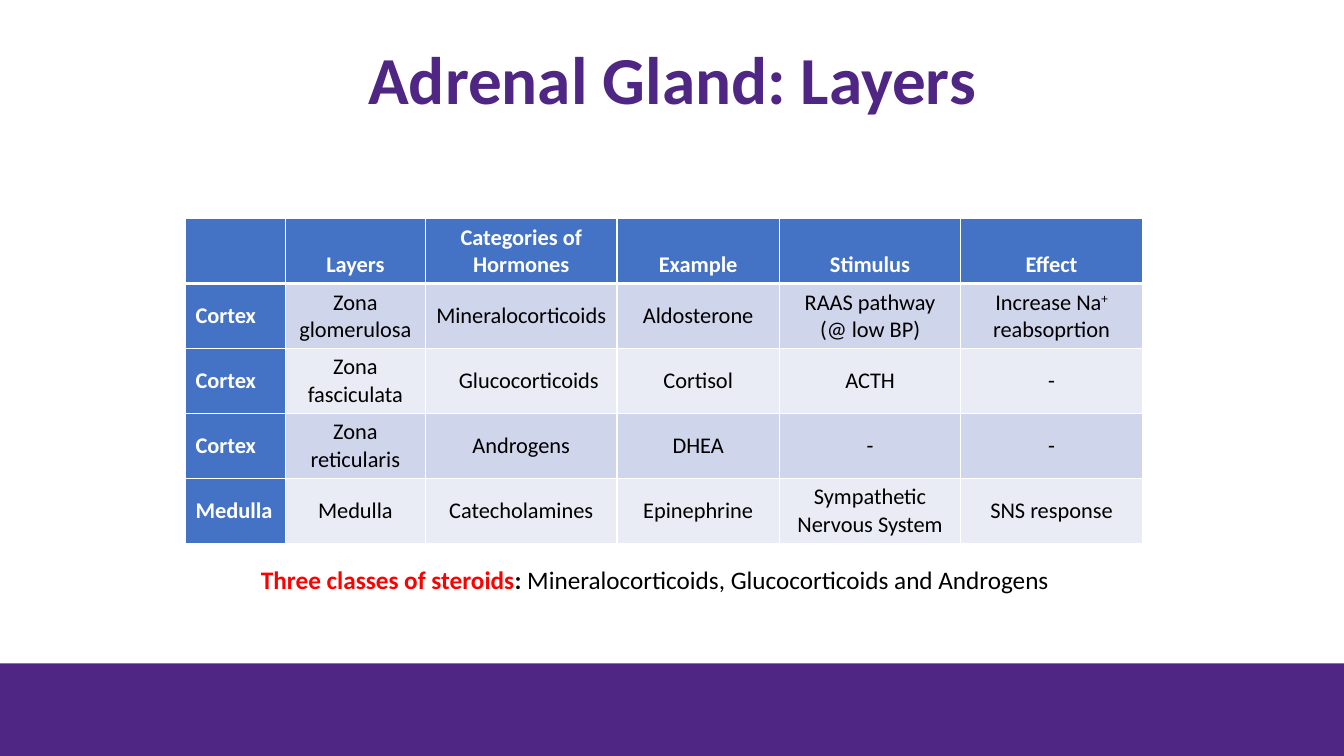
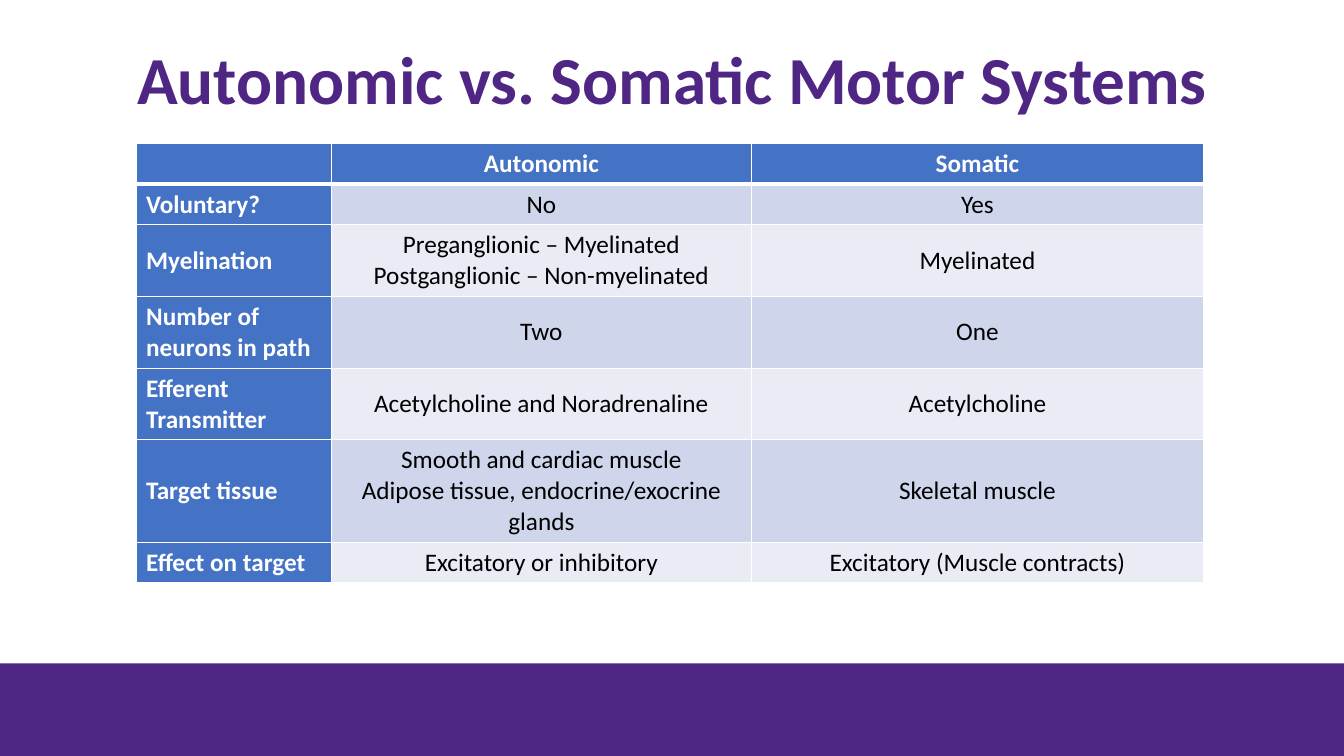
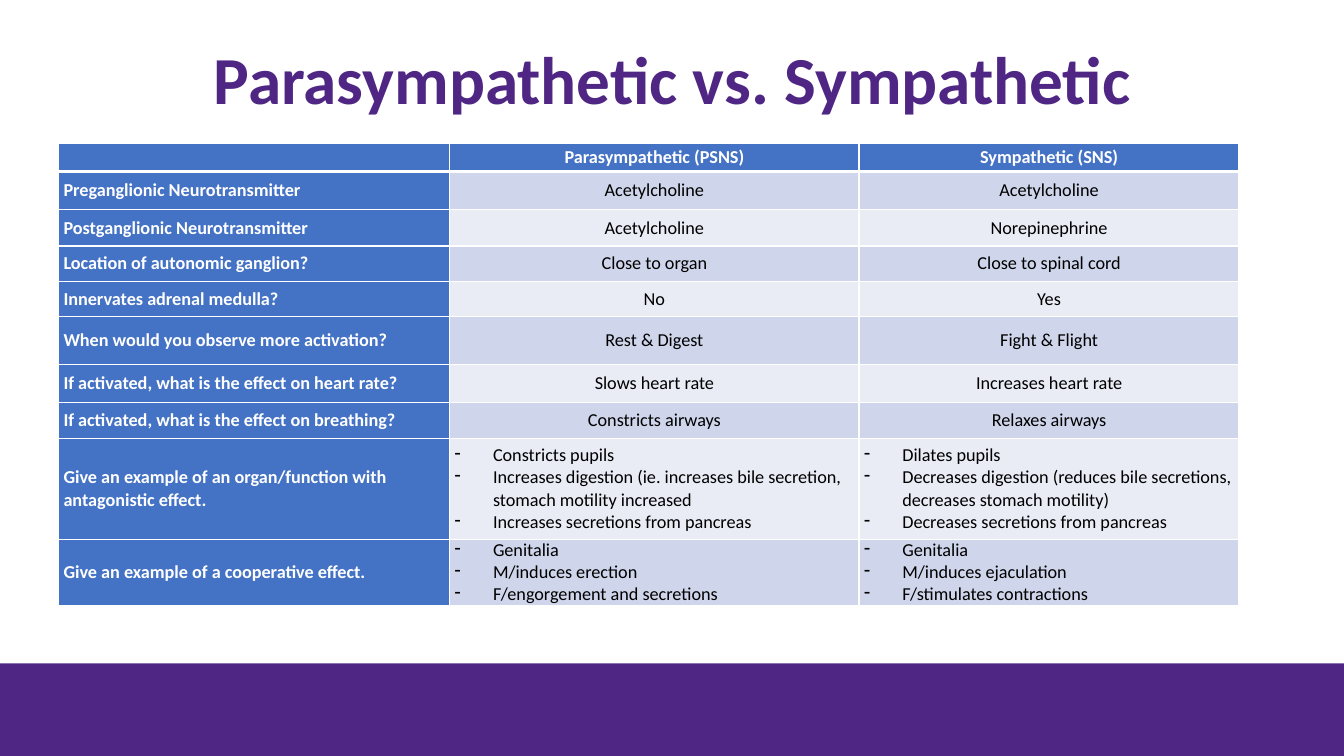
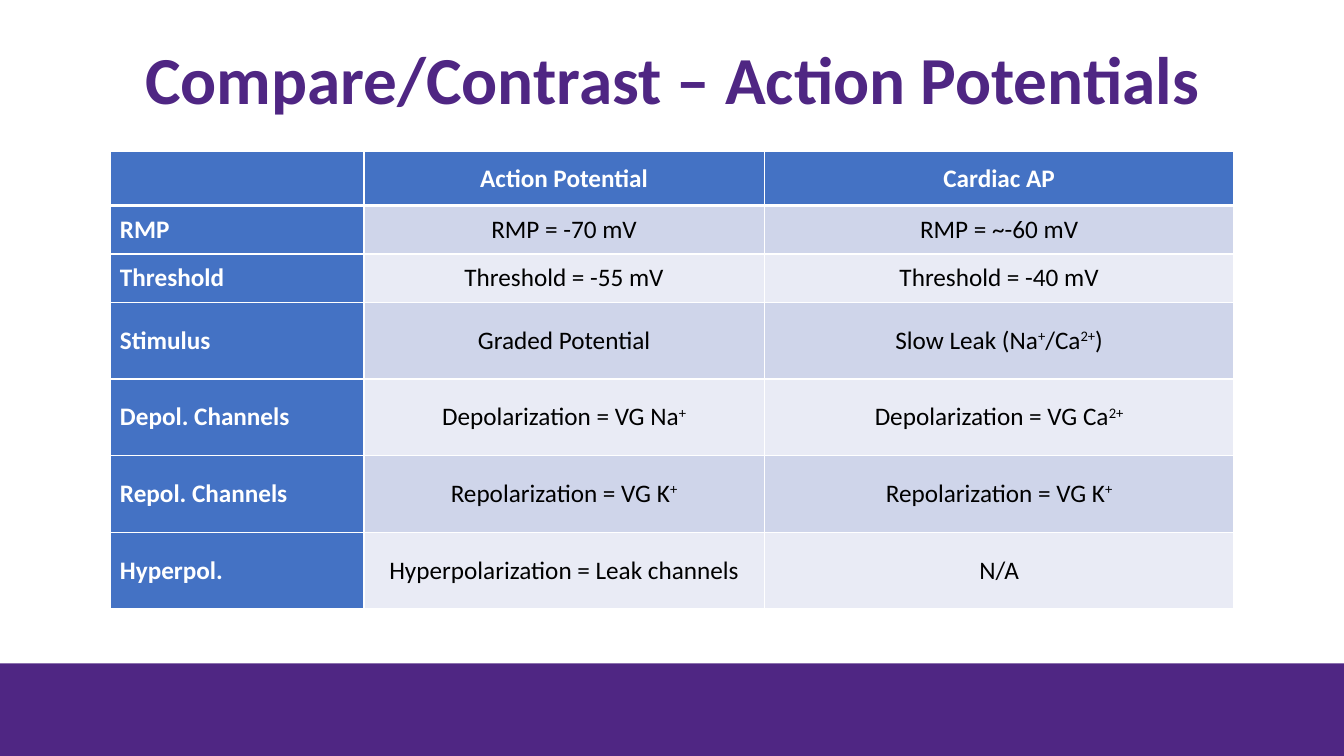
from lxml.etree import SubElement
from pptx import Presentation
from pptx.dml.color import RGBColor
from pptx.enum.shapes import MSO_SHAPE
from pptx.enum.text import MSO_ANCHOR, MSO_AUTO_SIZE, PP_ALIGN
from pptx.oxml.ns import qn
from pptx.util import Inches, Pt

PURPLE = RGBColor(0x4F, 0x26, 0x83)
BLUE = RGBColor(0x44, 0x72, 0xC4)
BAND_DARK = RGBColor(0xCF, 0xD5, 0xEA)
BAND_LIGHT = RGBColor(0xE9, 0xEB, 0xF5)
RED = RGBColor(0xFF, 0, 0)
BLACK = RGBColor(0, 0, 0)
WHITE = RGBColor(0xFF, 0xFF, 0xFF)
FONT = "Calibri"


def write(p, text, size=18, color=BLACK, bold=False, align=PP_ALIGN.LEFT):
    """Append text to a paragraph; parts between ^ marks are superscript."""
    p.alignment = align
    for i, part in enumerate(text.split("^")):
        if part:
            r = p.add_run()
            r.text = part
            r.font.name, r.font.size, r.font.bold = FONT, Pt(size), bold
            r.font.color.rgb = color
            if i % 2:
                r.font._element.set("baseline", "30000")
    if not text:
        p._p.get_or_add_endParaRPr().set("sz", str(size * 100))


def set_borders(cell, header):
    """Draw white cell borders, with a thick line under the header."""
    tcPr = cell._tc.get_or_add_tcPr()
    for side in ("lnL", "lnR", "lnT", "lnB"):
        width = 3 if header and side == "lnB" else 1
        ln = SubElement(tcPr, qn(f"a:{side}"), w=str(Pt(width)))
        fill = SubElement(ln, qn("a:solidFill"))
        SubElement(fill, qn("a:srgbClr"), val=str(WHITE))


# Slide contents: a line that starts with "- " is a bullet
SLIDES = [
    dict(
        title="Adrenal Gland: Layers", left=1.84, top=2.17, size=16,
        cols=[0.99, 1.39, 1.9, 1.61, 1.8, 1.8], heights=[0.64] * 5,
        header_anchor=MSO_ANCHOR.BOTTOM, margins=(0.1, 0.05),
        rows=[
            ["", "Layers", "Categories of Hormones", "Example", "Stimulus", "Effect"],
            ["Cortex", "Zona glomerulosa", "Mineralocorticoids", "Aldosterone",
             "RAAS pathway (@ low BP)", "Increase Na^+ ^reabsoprtion"],
            ["Cortex", "Zona fasciculata", "Glucocorticoids", "Cortisol", "ACTH", "-"],
            ["Cortex", "Zona reticularis", "Androgens", "DHEA", "-", "-"],
            ["Medulla", "Medulla", "Catecholamines", "Epinephrine",
             "Sympathetic Nervous System", "SNS response"],
        ],
    ),
    dict(
        title="Autonomic vs. Somatic Motor Systems", left=1.35, top=1.42, size=18,
        cols=[1.94, 4.16, 4.49], heights=[0.4, 0.4, 0.71, 0.71, 0.71, 1.01, 0.4],
        header_anchor=MSO_ANCHOR.TOP, margins=(0.1, 0.05),
        rows=[
            ["", "Autonomic", "Somatic"],
            ["Voluntary?", "No", "Yes"],
            ["Myelination",
             "Preganglionic – Myelinated\nPostganglionic – Non-myelinated", "Myelinated"],
            ["Number of neurons in path", "Two", "One"],
            ["Efferent Transmitter", "Acetylcholine and Noradrenaline", "Acetylcholine"],
            ["Target tissue",
             "Smooth and cardiac muscle\nAdipose tissue, endocrine/exocrine glands",
             "Skeletal muscle"],
            ["Effect on target", "Excitatory or inhibitory", "Excitatory (Muscle contracts)"],
        ],
    ),
    dict(
        title="Parasympathetic vs. Sympathetic", left=0.58, top=1.42, size=13,
        cols=[3.88, 4.06, 3.77],
        heights=[0.28, 0.38, 0.36, 0.35, 0.35, 0.48, 0.37, 0.36, 1, 0.66],
        header_anchor=MSO_ANCHOR.MIDDLE, margins=(0.05, 0),
        rows=[
            ["", "Parasympathetic (PSNS)", "Sympathetic (SNS)"],
            ["Preganglionic Neurotransmitter", "Acetylcholine", "Acetylcholine"],
            ["Postganglionic Neurotransmitter", "Acetylcholine", "Norepinephrine"],
            ["Location of autonomic ganglion?", "Close to organ", "Close to spinal cord"],
            ["Innervates adrenal medulla?", "No", "Yes"],
            ["When would you observe more activation?", "Rest & Digest", "Fight & Flight"],
            ["If activated, what is the effect on heart rate?",
             "Slows heart rate", "Increases heart rate"],
            ["If activated, what is the effect on breathing?",
             "Constricts airways", "Relaxes airways"],
            ["Give an example of an organ/function with antagonistic effect.",
             "- Constricts pupils\n"
             "- Increases digestion (ie. increases bile secretion, stomach motility increased\n"
             "- Increases secretions from pancreas",
             "- Dilates pupils\n"
             "- Decreases digestion (reduces bile secretions, decreases stomach motility)\n"
             "- Decreases secretions from pancreas"],
            ["Give an example of a cooperative effect.",
             "- Genitalia\n- M/induces erection\n- F/engorgement and secretions",
             "- Genitalia\n- M/induces ejaculation\n- F/stimulates contractions"],
        ],
    ),
    dict(
        title="Compare/Contrast – Action Potentials", left=1.09, top=1.5, size=18,
        cols=[2.52, 3.97, 4.66], heights=[0.54] + [0.48] * 2 + [0.76] * 4,
        header_anchor=MSO_ANCHOR.MIDDLE, margins=(0.1, 0.05),
        rows=[
            ["", "Action Potential", "Cardiac AP"],
            ["RMP", "RMP = -70 mV", "RMP = ~-60 mV"],
            ["Threshold", "Threshold = -55 mV", "Threshold = -40 mV"],
            ["Stimulus", "Graded Potential", "Slow Leak (Na^+^/Ca^2+^)"],
            ["Depol. Channels", "Depolarization = VG Na^+^", "Depolarization = VG Ca^2+^"],
            ["Repol. Channels", "Repolarization = VG K^+^", "Repolarization = VG K^+^"],
            ["Hyperpol.", "Hyperpolarization = Leak channels", "N/A"],
        ],
    ),
]

prs = Presentation()
prs.slide_width, prs.slide_height = Inches(13.33), Inches(7.5)
tables = []

for data in SLIDES:
    s = prs.slides.add_slide(prs.slide_layouts[5])

    # Title
    title = s.shapes.title
    title.left, title.top = Inches(0.92), Inches(0.22)
    title.width, title.height = Inches(11.5), Inches(1.2)
    tf = title.text_frame
    tf.auto_size, tf.vertical_anchor = MSO_AUTO_SIZE.NONE, MSO_ANCHOR.MIDDLE
    p = tf.paragraphs[0]
    p.line_spacing = 0.9
    write(p, data["title"], size=48, color=PURPLE, bold=True, align=PP_ALIGN.CENTER)

    # Bottom band
    band = s.shapes.add_shape(MSO_SHAPE.RECTANGLE, 0, Inches(6.58), prs.slide_width, Inches(0.92))
    band.shadow.inherit = False
    band.fill.solid()
    band.fill.fore_color.rgb = PURPLE
    band.line.fill.background()

    # Table
    rows, cols, heights = data["rows"], data["cols"], data["heights"]
    table = s.shapes.add_table(len(rows), len(cols), Inches(data["left"]), Inches(data["top"]),
                               Inches(sum(cols)), Inches(sum(heights))).table
    tables.append(table)
    for column, width in zip(table.columns, cols):
        column.width = Inches(width)
    for i, row in enumerate(rows):
        table.rows[i].height = Inches(heights[i])
        for j, text in enumerate(row):
            cell = table.cell(i, j)
            heading = i == 0 or j == 0
            set_borders(cell, header=i == 0)
            cell.fill.solid()
            cell.fill.fore_color.rgb = BLUE if heading else BAND_DARK if i % 2 else BAND_LIGHT
            cell.vertical_anchor = MSO_ANCHOR.MIDDLE if i else data["header_anchor"]
            side, end = data["margins"]
            cell.margin_left = cell.margin_right = Inches(side)
            cell.margin_top = cell.margin_bottom = Inches(end)
            tf = cell.text_frame
            for k, line in enumerate(text.split("\n")):
                p = tf.add_paragraph() if k else tf.paragraphs[0]
                bullet = line.startswith("- ")
                if bullet:
                    pPr = p._p.get_or_add_pPr()
                    pPr.set("marL", str(Inches(0.38)))
                    pPr.set("indent", str(-Inches(0.38)))
                    SubElement(pPr, qn("a:buChar"), char="-")
                write(p, line.removeprefix("- "), size=data["size"],
                      color=WHITE if heading else BLACK, bold=heading,
                      align=PP_ALIGN.LEFT if j == 0 or bullet else PP_ALIGN.CENTER)

# Glucocorticoids sits slightly right of centre
tables[0].cell(2, 2).margin_left = Inches(0.25)

# Note below the adrenal table
note = prs.slides[0].shapes.add_textbox(Inches(2.49), Inches(5.55), Inches(8.18), Inches(0.4))
p = note.text_frame.paragraphs[0]
write(p, "Three classes of steroids", color=RED, bold=True)
write(p, ": ", bold=True)
write(p, "Mineralocorticoids, Glucocorticoids and Androgens")

prs.save("out.pptx")
